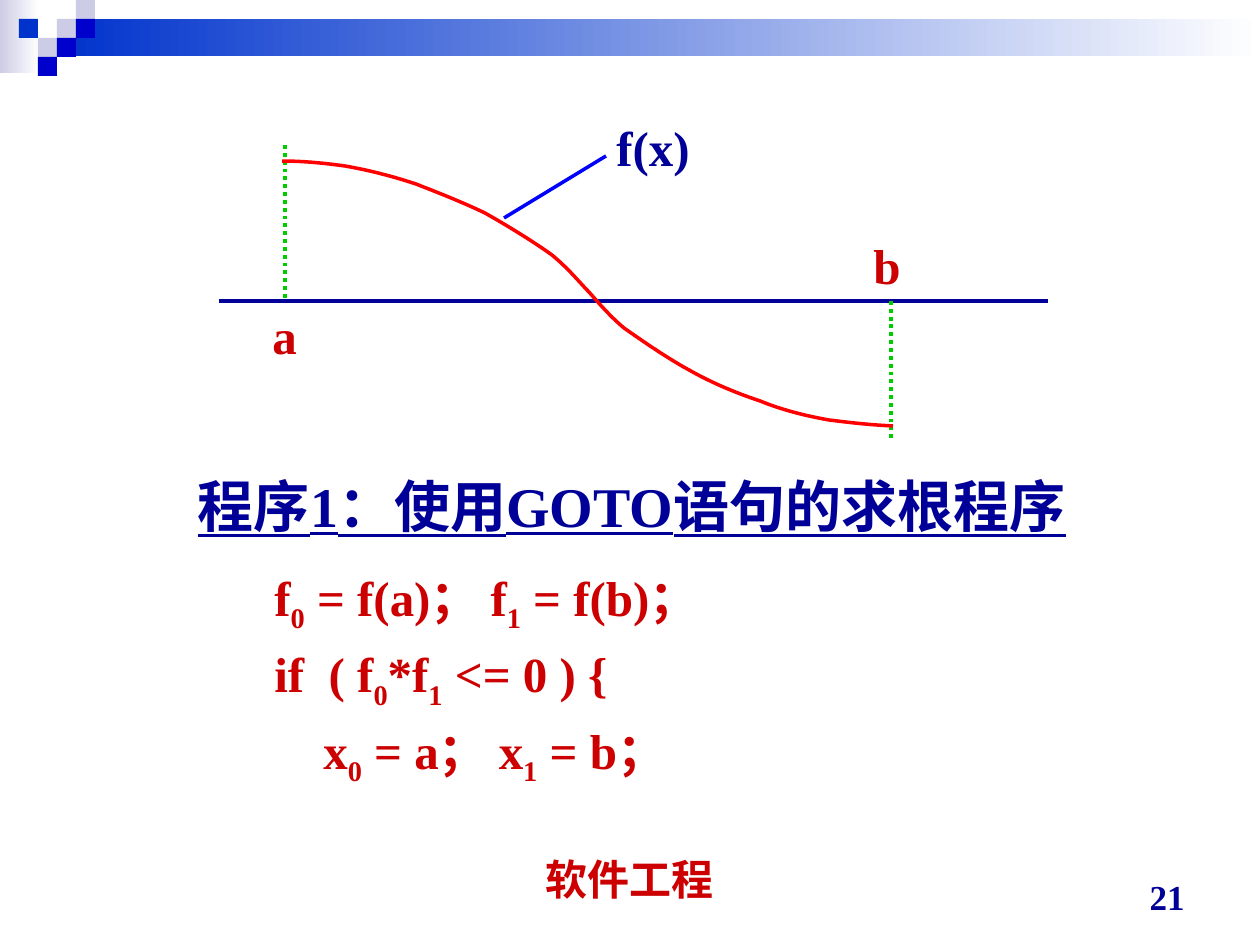
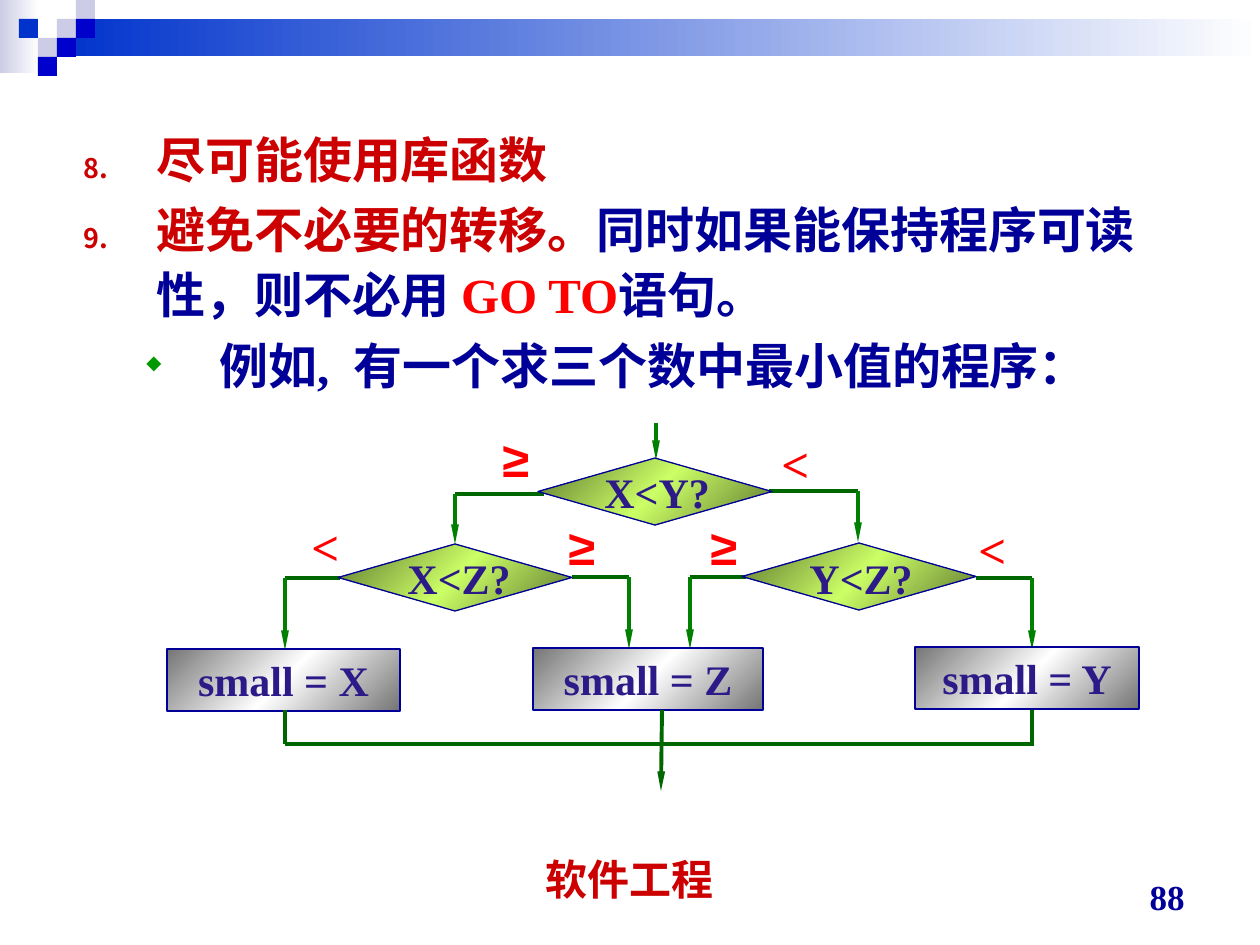
import lxml.etree
import pptx
import pptx.dml.color
import pptx.enum.dml
import pptx.enum.shapes
import pptx.enum.text
import pptx.oxml.ns
import pptx.util

RGBColor = pptx.dml.color.RGBColor
Align = pptx.enum.text.PP_ALIGN
Anchor = pptx.enum.text.MSO_ANCHOR
AutoSize = pptx.enum.text.MSO_AUTO_SIZE
Preset = pptx.enum.shapes.MSO_SHAPE
Dash = pptx.enum.dml.MSO_LINE
qn = pptx.oxml.ns.qn

NAVY = RGBColor(0x00, 0x00, 0x99)
BLUE = RGBColor(0x00, 0x00, 0xFF)
BAND_BLUE = RGBColor(0x00, 0x33, 0xCC)
TILE_BLUE = RGBColor(0x00, 0x00, 0xCC)
LAVENDER = RGBColor(0xCC, 0xCC, 0xE6)
WHITE = RGBColor(0xFF, 0xFF, 0xFF)
CRIMSON = RGBColor(0xCC, 0x00, 0x00)
RED = RGBColor(0xFF, 0x00, 0x00)
LIME = RGBColor(0x00, 0xCC, 0x00)
BULLET_GREEN = RGBColor(0x00, 0x99, 0x00)
ARROW_GREEN = RGBColor(0x00, 0x80, 0x00)
DARK_GREEN = RGBColor(0x00, 0x66, 0x00)
OLIVE = RGBColor(0x5E, 0x75, 0x2F)
YELLOW_GREEN = RGBColor(0xCC, 0xFF, 0x66)
GRAY = RGBColor(0x75, 0x75, 0x75)
INDIGO = RGBColor(0x2C, 0x1A, 0x88)

SERIF = "Times New Roman"
SANS = "Arial"
EMU_PER_PX = 914400 / 126
TILE = 19


def px(length):
    return pptx.util.Emu(round(length * EMU_PER_PX))


def add_xml(parent, tag, **attributes):
    return lxml.etree.SubElement(parent, qn(tag), attributes)


def set_gradient(shape, colors, angle):
    """Spread the colours evenly along the angle."""
    shape.fill.gradient()
    shape.fill.gradient_angle = angle
    stops = shape._element.spPr.find(".//" + qn("a:gsLst"))
    for stop in list(stops):
        stops.remove(stop)
    for index, color in enumerate(colors):
        position = round(100000 * index / (len(colors) - 1))
        stop = add_xml(stops, "a:gs", pos=str(position))
        add_xml(stop, "a:srgbClr", val=str(color))


def add_filled_shape(slide, preset, box, colors, angle=180, outline=None):
    shape = slide.shapes.add_shape(preset, *map(px, box))
    shape.shadow.inherit = False
    if len(colors) > 1:
        set_gradient(shape, colors, angle)
    else:
        shape.fill.solid()
        shape.fill.fore_color.rgb = colors[0]
    if outline is None:
        shape.line.fill.background()
    else:
        shape.line.color.rgb = outline
        shape.line.width = pptx.util.Pt(0.75)
    return shape


def add_line(slide, start, end, color, width=2.25, dash=None, arrow=False):
    line = slide.shapes.add_connector(
        pptx.enum.shapes.MSO_CONNECTOR.STRAIGHT, *map(px, start + end))
    line.line.color.rgb = color
    line.line.width = pptx.util.Pt(width)
    if dash is not None:
        line.line.dash_style = dash
    if arrow:
        add_xml(line.line._get_or_add_ln(), "a:tailEnd", type="triangle", w="sm", len="lg")
    add_xml(line._element.spPr, "a:effectLst")


def add_curve(slide, points, color):
    """Trace joined cubic Bezier segments: a start, then three points per segment."""
    steps = 12
    traced = []
    for first in range(0, len(points) - 1, 3):
        p0, p1, p2, p3 = points[first:first + 4]
        for step in range(1, steps + 1):
            t = step / steps
            weights = ((1 - t) ** 3, 3 * t * (1 - t) ** 2, 3 * t * t * (1 - t), t ** 3)
            traced.append(tuple(
                px(sum(weight * value for weight, value in zip(weights, axis)))
                for axis in zip(p0, p1, p2, p3)))
    builder = slide.shapes.build_freeform(*map(px, points[0]))
    builder.add_line_segments(traced, close=False)
    curve = builder.convert_to_shape()
    curve.shadow.inherit = False
    curve.fill.background()
    curve.line.color.rgb = color
    curve.line.width = pptx.util.Pt(2)


def style_paragraph(paragraph, size, color, font=SERIF, align=Align.LEFT):
    paragraph.alignment = align
    paragraph.font.size = pptx.util.Pt(size)
    paragraph.font.name = font
    paragraph.font.bold = True
    paragraph.font.color.rgb = color


def add_text_frame(slide, box, anchor=Anchor.TOP, wrap=True):
    frame = slide.shapes.add_textbox(*map(px, box)).text_frame
    frame.word_wrap = wrap
    frame.auto_size = AutoSize.NONE if wrap else AutoSize.SHAPE_TO_FIT_TEXT
    frame.vertical_anchor = anchor
    return frame


def add_label(slide, text, box, size, color, font=SERIF, align=Align.LEFT,
              anchor=Anchor.TOP, wrap=False):
    paragraph = add_text_frame(slide, box, anchor, wrap).paragraphs[0]
    paragraph.text = text
    style_paragraph(paragraph, size, color, font, align)
    return paragraph


def add_body_paragraph(frame, line_spacing, margin, hanging=0):
    paragraph = frame.paragraphs[0]
    if paragraph.runs:
        paragraph = frame.add_paragraph()
    paragraph.line_spacing = line_spacing
    paragraph.space_before = pptx.util.Pt(3.5)
    properties = paragraph._p.get_or_add_pPr()
    properties.set("marL", str(px(margin)))
    properties.set("indent", str(-px(hanging)))
    properties.set("hangingPunct", "0")
    return paragraph


def add_bullet(paragraph, color, percent, tag, **attributes):
    properties = paragraph._p.get_or_add_pPr()
    add_xml(add_xml(properties, "a:buClr"), "a:srgbClr", val=str(color))
    add_xml(properties, "a:buSzPct", val=str(percent * 1000))
    add_xml(properties, tag, **attributes)


def add_code_line(frame, code, margin):
    """Write code in which an underscore lowers the next character."""
    paragraph = add_body_paragraph(frame, 1.05, margin)
    first, *rest = code.split("_")
    paragraph.add_run().text = first
    for piece in rest:
        subscript = paragraph.add_run()
        subscript.text = piece[0]
        subscript._r.get_or_add_rPr().set("baseline", "-25000")
        paragraph.add_run().text = piece[1:]
    style_paragraph(paragraph, 28, CRIMSON)


def add_colored_runs(paragraph, runs):
    for text, color in runs:
        run = paragraph.add_run()
        run.text = text
        run.font.color.rgb = color
    style_paragraph(paragraph, 28, runs[0][1])


def add_base_slide(presentation, number):
    slide = presentation.slides.add_slide(presentation.slide_layouts[6])
    add_filled_shape(slide, Preset.RECTANGLE, (0, 0, 39, 73), (WHITE, LAVENDER))
    add_filled_shape(slide, Preset.RECTANGLE, (57, 19, 1203, 37), (WHITE, BAND_BLUE))
    tiles = ((3, 1, LAVENDER), (4, 0, LAVENDER), (4, 1, TILE_BLUE), (2, 2, LAVENDER),
             (1, 1, BAND_BLUE), (3, 2, TILE_BLUE), (2, 3, TILE_BLUE))
    for column, row, color in tiles:
        box = (column * TILE, row * TILE, TILE, TILE)
        add_filled_shape(slide, Preset.RECTANGLE, box, (color,))
    add_label(slide, "软件工程", (430, 847, 399, 63), 24, CRIMSON, SANS,
              Align.CENTER, Anchor.BOTTOM, True)
    add_label(slide, str(number), (903, 861, 294, 63), 20, NAVY, SERIF,
              Align.RIGHT, Anchor.BOTTOM, True)
    return slide


def add_root_plot(slide):
    axis_y = 301
    add_line(slide, (219, axis_y), (1048, axis_y), NAVY)
    add_line(slide, (285, 145), (285, axis_y), LIME, dash=Dash.ROUND_DOT)
    add_line(slide, (891, axis_y), (891, 441), LIME, dash=Dash.ROUND_DOT)
    left_half = ((282, 161), (302, 161), (324, 163), (345, 166), (368, 170), (392, 176),
                 (416, 184), (439, 193), (462, 202), (485, 213), (508, 226), (534, 242),
                 (552, 255), (568, 268), (582, 285), (588, 291))
    right_half = ((893, 426), (872, 425), (852, 423), (829, 420), (806, 416), (782, 410),
                  (760, 401), (736, 393), (712, 383), (689, 370), (667, 358), (641, 340),
                  (624, 328), (607, 314), (593, 296), (587, 290))
    for half in (left_half, right_half):
        add_curve(slide, half, RED)
    add_line(slide, (606, 156), (504, 218), BLUE, width=2)
    add_label(slide, "a", (260, 299, 49, 72), 28, CRIMSON)
    add_label(slide, "b", (861, 229, 52, 72), 28, CRIMSON)
    add_label(slide, "f(x)", (604, 111, 100, 72), 28, NAVY)


def build_goto_slide(presentation):
    slide = add_base_slide(presentation, 21)
    add_root_plot(slide)
    title = add_label(slide, "程序1：使用GOTO语句的求根程序", (65, 430, 1134, 150), 32, NAVY,
                      align=Align.CENTER, anchor=Anchor.MIDDLE, wrap=True)
    title.font.underline = True
    code = add_text_frame(slide, (88, 558, 1108, 263))
    add_code_line(code, "f_0 = f(a)； f_1 = f(b)；", 174)
    add_code_line(code, "if  ( f_0*f_1 <= 0 ) {", 174)
    add_code_line(code, "x_0 = a； x_1 = b；", 223)


def add_elbow_arrow(slide, start_x, turn_x, y, end_y):
    add_line(slide, (start_x, y), (turn_x, y), DARK_GREEN)
    add_line(slide, (turn_x, y), (turn_x, end_y), ARROW_GREEN, arrow=True)


def add_flowchart(slide):
    add_line(slide, (656, 423), (656, 460), ARROW_GREEN, arrow=True)
    elbows = ((544, 455, 494, 544), (769, 858, 491, 542), (340, 285, 578, 650),
              (572, 629, 577, 649), (746, 690, 577, 649), (976, 1032, 578, 650))
    for elbow in elbows:
        add_elbow_arrow(slide, *elbow)

    decisions = (("X<Y?", 538, 458, 592, 460), ("X<Z?", 338, 544, 395, 546),
                 ("Y<Z?", 742, 543, 797, 546))
    for text, left, top, text_left, text_top in decisions:
        add_filled_shape(slide, Preset.DIAMOND, (left, top, 234, 67),
                         (OLIVE, YELLOW_GREEN, OLIVE), 135, NAVY)
        add_label(slide, text, (text_left, text_top, 134, 63), 24, INDIGO)

    results = (("small = X", 167, 649, 233), ("small = Z", 533, 648, 230),
               ("small = Y", 915, 647, 224))
    for text, left, top, width in results:
        shape = add_filled_shape(slide, Preset.RECTANGLE, (left, top, width, 62),
                                 (GRAY, WHITE, GRAY), 135, NAVY)
        shape.text_frame.word_wrap = False
        shape.text_frame.vertical_anchor = Anchor.MIDDLE
        paragraph = shape.text_frame.paragraphs[0]
        paragraph.text = text
        style_paragraph(paragraph, 24, INDIGO, align=Align.CENTER)

    for left, top in ((490, 422), (556, 510), (698, 510)):
        add_label(slide, "≥", (left, top, 64, 72), 28, RED, SANS)
    for left, top in ((299, 510), (769, 427), (966, 513)):
        add_label(slide, "<", (left, top, 53, 72), 28, RED)

    for x in (285, 1032):
        add_line(slide, (x, 710), (x, 744), DARK_GREEN)
    add_line(slide, (285, 744), (1034, 744), DARK_GREEN)
    add_line(slide, (662, 710), (661, 791), DARK_GREEN, arrow=True)


def build_transfer_slide(presentation):
    slide = add_base_slide(presentation, 88)
    body = add_text_frame(slide, (71, 117, 1131, 373))
    numbered = (
        (("尽可能使用库函数", CRIMSON),),
        (("避免不必要的转移。", CRIMSON), ("同时如果能保持程序可读性，则不必用 ", NAVY),
         ("GO TO", RED), ("语句。", NAVY)),
    )
    for runs in numbered:
        paragraph = add_body_paragraph(body, 1.1, 73, 73)
        add_bullet(paragraph, CRIMSON, 55, "a:buAutoNum", type="arabicPeriod", startAt="8")
        add_colored_runs(paragraph, runs)
    example = add_body_paragraph(body, 1.1, 136, 73)
    example.level = 1
    add_bullet(example, BULLET_GREEN, 40, "a:buChar", char="◆")
    add_colored_runs(example, (("例如,  有一个求三个数中最小值的程序：", NAVY),))
    add_flowchart(slide)


def main():
    presentation = pptx.Presentation()
    presentation.slide_width = px(1260)
    presentation.slide_height = px(945)
    build_goto_slide(presentation)
    build_transfer_slide(presentation)
    presentation.save("out.pptx")


if __name__ == "__main__":
    main()
